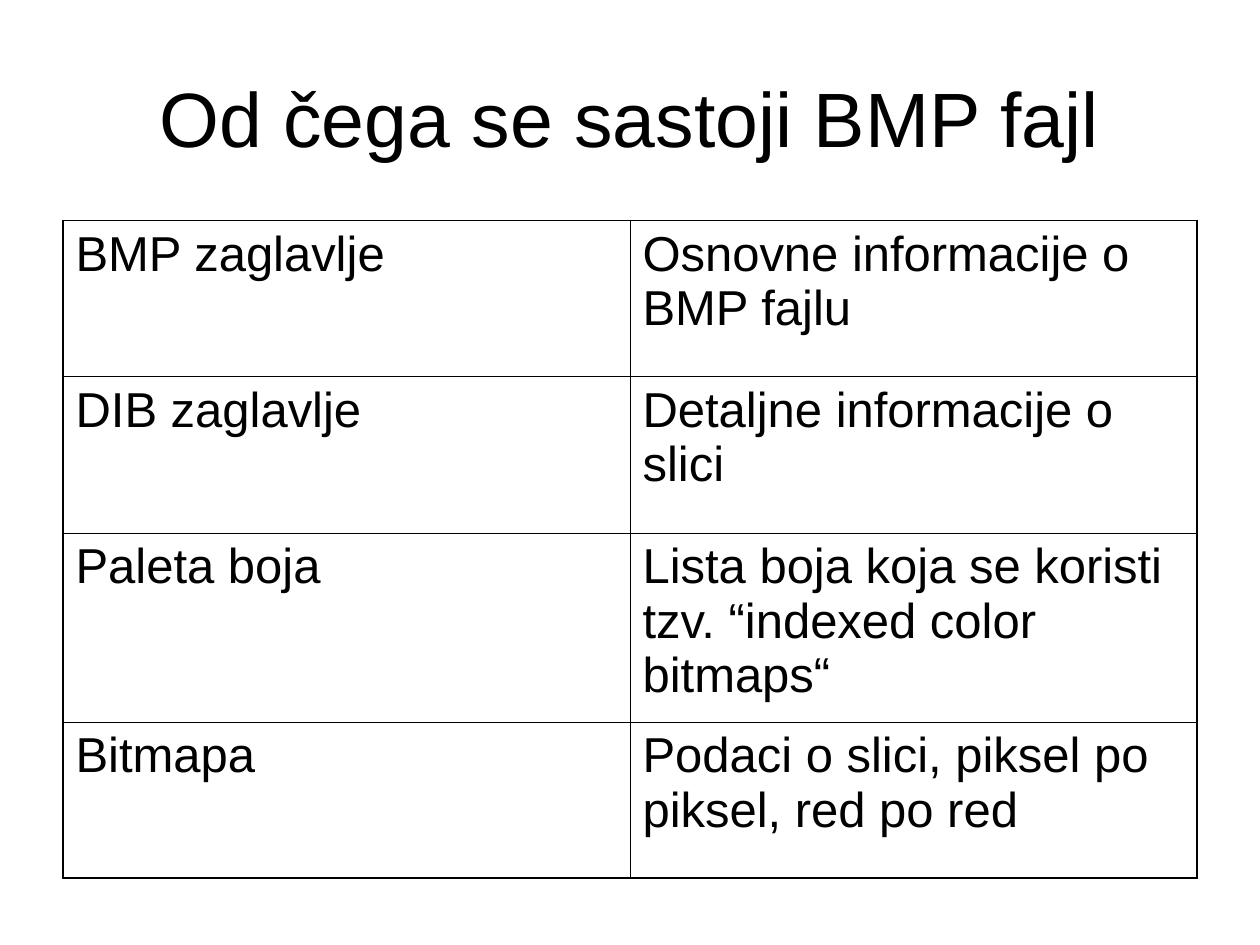
from dataclasses import dataclass

from lxml import etree
from pptx import Presentation
from pptx.dml.color import RGBColor
from pptx.enum.text import MSO_ANCHOR, PP_ALIGN
from pptx.oxml.ns import qn
from pptx.util import Inches, Pt

LEFT, CENTER = PP_ALIGN.LEFT, PP_ALIGN.CENTER
TOP, MIDDLE = MSO_ANCHOR.TOP, MSO_ANCHOR.MIDDLE
TITLE_ONLY = 5


@dataclass(frozen=True)
class Theme:
    font: str = "Arial"
    ink: str = "000000"
    paper: str = "FFFFFF"
    title_size: float = 44
    cell_size: float = 28
    space_before: float = 7
    outer_line: float = 1.08
    inner_line: float = 0.45


class Deck:
    def __init__(self, theme):
        self.theme = theme
        self.prs = Presentation()
        self.prs.slide_width, self.prs.slide_height = Inches(10), Inches(7.5)
        self.s = self.prs.slides.add_slide(self.prs.slide_layouts[TITLE_ONLY])
        fill = self.s.background.fill
        fill.solid()
        fill.fore_color.rgb = RGBColor.from_string(theme.paper)

    def add_text(self, tf, text, size, align):
        p = tf.paragraphs[0]
        p.alignment = align
        r = p.add_run()
        r.text = text
        r.font.name = self.theme.font
        r.font.size = Pt(size)
        r.font.color.rgb = RGBColor.from_string(self.theme.ink)
        return p

    def title(self, text, left, top, width, height):
        sp = self.s.shapes.title
        sp.left, sp.top = Inches(left), Inches(top)
        sp.width, sp.height = Inches(width), Inches(height)
        tf = sp.text_frame
        tf.word_wrap = True
        tf.vertical_anchor = MIDDLE
        self.add_text(tf, text, self.theme.title_size, CENTER)

    def border(self, cell, side, width):
        ln = etree.SubElement(cell._tc.get_or_add_tcPr(), qn(f"a:ln{side}"), w=str(int(Pt(width))))
        fill = etree.SubElement(ln, qn("a:solidFill"))
        etree.SubElement(fill, qn("a:srgbClr"), val=self.theme.ink)

    def table(self, rows, left, top, col_widths, row_heights):
        n_rows, n_cols = len(rows), len(col_widths)
        frame = self.s.shapes.add_table(
            n_rows, n_cols, Inches(left), Inches(top),
            Inches(sum(col_widths)), Inches(sum(row_heights)))
        table = frame.table
        table.first_row = table.horz_banding = False
        for col, width in zip(table.columns, col_widths):
            col.width = Inches(width)
        for row, height in zip(table.rows, row_heights):
            row.height = Inches(height)
        for i, texts in enumerate(rows):
            for j, text in enumerate(texts):
                cell = table.cell(i, j)
                cell.vertical_anchor = TOP
                cell.margin_left = cell.margin_right = Inches(0.1)
                cell.margin_top = cell.margin_bottom = Inches(0.05)
                p = self.add_text(cell.text_frame, text, self.theme.cell_size, LEFT)
                p.space_before = Pt(self.theme.space_before)
                edges = {"L": j == 0, "R": j == n_cols - 1, "T": i == 0, "B": i == n_rows - 1}
                for side, outer in edges.items():
                    self.border(cell, side, self.theme.outer_line if outer else self.theme.inner_line)
                cell.fill.background()


BMP_PARTS = [
    ("BMP zaglavlje", "Osnovne informacije o BMP fajlu"),
    ("DIB zaglavlje", "Detaljne informacije o slici"),
    ("Paleta boja", "Lista boja koja se koristi tzv. “indexed color bitmaps“"),
    ("Bitmapa", "Podaci o slici, piksel po piksel, red po red"),
]

deck = Deck(Theme())
deck.title("Od čega se sastoji BMP fajl", 0.5, 0.3, 9, 1.25)
deck.table(BMP_PARTS, 0.5, 1.75, [4.5, 4.5], [1.24, 1.24, 1.5, 1.24])
deck.prs.save("out.pptx")
